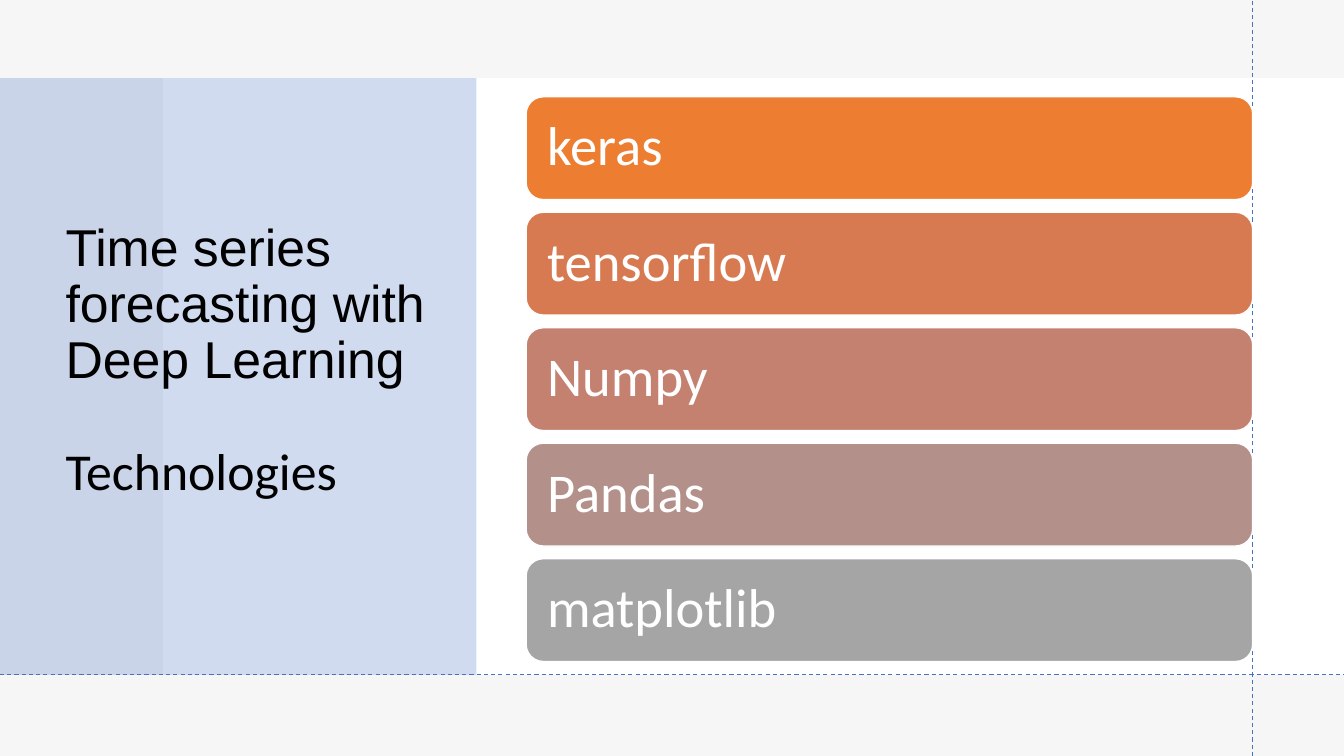
from dataclasses import dataclass

from lxml import etree
from pptx import Presentation
from pptx import util as u
from pptx.dml.color import RGBColor
from pptx.enum import dml, shapes, text
from pptx.oxml import ns

COLORS = {"white": "FFFFFF", "black": "000000", "backdrop": "F7F6F6", "blue": "4472C4"}
SLIDE_W, SLIDE_H = 33.87, 19.05
BAR_LEFT, BAR_TOP, BAR_W, BAR_H, BAR_PITCH = 13.26, 2.44, 18.31, 2.59, 2.91
GUIDE_X, GUIDE_Y = BAR_LEFT + BAR_W, 16.99


@dataclass
class Bar:
    label: str
    color: str


@dataclass
class TitlePart:
    label: str
    font: str
    space_before: float


BARS = [
    Bar("keras", "ED7D31"),
    Bar("tensorflow", "D87A51"),
    Bar("Numpy", "C48170"),
    Bar("Pandas", "B4908B"),
    Bar("matplotlib", "A5A5A5"),
]
TITLE_PARTS = [
    TitlePart("Time series forecasting with Deep Learning", "Arial", 0),
    TitlePart("Technologies", "Calibri", 40),
]


def rgb(value: str) -> RGBColor:
    return RGBColor.from_string(value)


def set_all(target, values: dict) -> None:
    for name, value in values.items():
        setattr(target, name, value)


def add_box(s, kind, left: float, top: float, width: float, height: float, color: str):
    sp = s.shapes.add_shape(kind, u.Cm(left), u.Cm(top), u.Cm(width), u.Cm(height))
    sp.shadow.inherit = False
    sp.fill.solid()
    sp.fill.fore_color.rgb = rgb(color)
    sp.line.fill.background()
    return sp


def set_opacity(sp, percent: int) -> None:
    color = sp._element.spPr.find(ns.qn("a:solidFill"))[0]
    etree.SubElement(color, ns.qn("a:alpha"), val=str(percent * 1000))


def add_guide(s, x1: float, y1: float, x2: float, y2: float) -> None:
    line = s.shapes.add_connector(
        shapes.MSO_CONNECTOR.STRAIGHT, u.Cm(x1), u.Cm(y1), u.Cm(x2), u.Cm(y2))
    line.line.color.rgb = rgb(COLORS["blue"])
    set_all(line.line, {"width": u.Pt(0.75), "dash_style": dml.MSO_LINE.DASH})
    etree.SubElement(line._element.spPr, ns.qn("a:effectLst"))


def add_run(p, label: str, font: str, size: float, color: str) -> None:
    r = p.add_run()
    r.text = label
    set_all(r.font, {"name": font, "size": u.Pt(size), "bold": False})
    r.font.color.rgb = rgb(color)


def add_bar(s, bar: Bar, top: float) -> None:
    sp = add_box(s, shapes.MSO_SHAPE.ROUNDED_RECTANGLE,
                 BAR_LEFT, top, BAR_W, BAR_H, bar.color)
    sp.line.color.rgb = rgb(COLORS["white"])
    sp.line.width = u.Pt(1)
    tf = sp.text_frame
    set_all(tf, {
        "word_wrap": True,
        "vertical_anchor": text.MSO_ANCHOR.MIDDLE,
        "margin_left": u.Cm(0.4),
        "margin_right": u.Cm(0.4),
    })
    p = tf.paragraphs[0]
    set_all(p, {"alignment": text.PP_ALIGN.LEFT, "line_spacing": 0.9})
    add_run(p, bar.label, "Calibri", 39, COLORS["white"])


def fill_title(title) -> None:
    set_all(title, {"left": u.Cm(1.4), "top": u.Cm(1.88),
                    "width": u.Cm(10.03), "height": u.Cm(14.45)})
    tf = title.text_frame
    set_all(tf, {"word_wrap": True, "auto_size": text.MSO_AUTO_SIZE.NONE,
                 "vertical_anchor": text.MSO_ANCHOR.MIDDLE})
    for i, part in enumerate(TITLE_PARTS):
        p = tf.add_paragraph() if i else tf.paragraphs[0]
        set_all(p, {"alignment": text.PP_ALIGN.LEFT, "line_spacing": u.Pt(40),
                    "space_before": u.Pt(part.space_before)})
        add_run(p, part.label, part.font, 37, COLORS["black"])


def main() -> None:
    prs = Presentation()
    set_all(prs, {"slide_width": u.Cm(SLIDE_W), "slide_height": u.Cm(SLIDE_H)})
    s = prs.slides.add_slide(prs.slide_layouts[5])
    s.background.fill.solid()
    s.background.fill.fore_color.rgb = rgb(COLORS["backdrop"])

    rect = shapes.MSO_SHAPE.RECTANGLE
    content = add_box(s, rect, 4.11, 1.97, SLIDE_W - 4.11, 15.04, COLORS["white"])
    panel = add_box(s, rect, 0, 1.97, 12.01, 15.04, COLORS["blue"])
    set_opacity(panel, 25)

    title = s.shapes.title
    fill_title(title)
    # Raise the title above the panel and the content area.
    for sp in (panel, content):
        title._element.addprevious(sp._element)
    panel._element.addprevious(content._element)

    add_guide(s, GUIDE_X, SLIDE_H, GUIDE_X, 0)
    add_guide(s, 0, GUIDE_Y, SLIDE_W, GUIDE_Y)
    for i, bar in enumerate(BARS):
        add_bar(s, bar, BAR_TOP + i * BAR_PITCH)

    prs.save("out.pptx")


if __name__ == "__main__":
    main()
